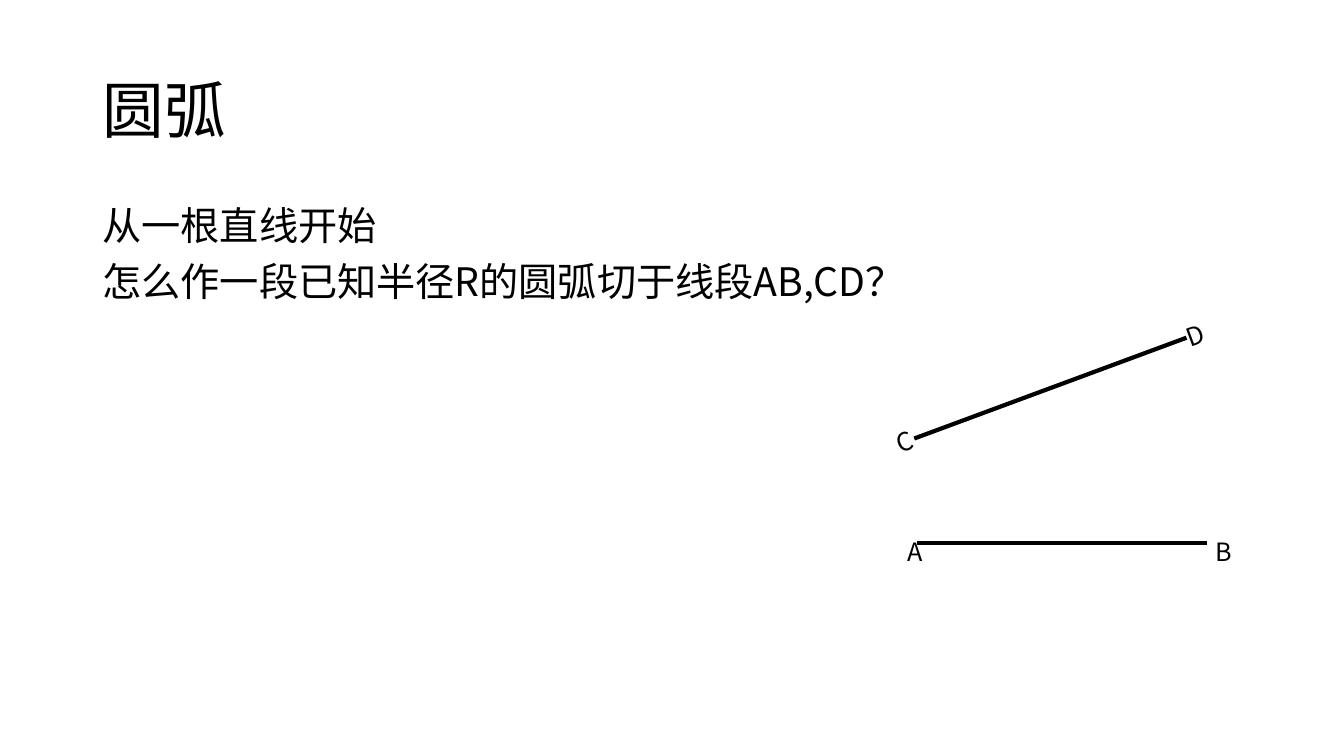
from dataclasses import dataclass

from lxml import etree
from pptx import Presentation
from pptx import util as u
from pptx.dml.color import RGBColor
from pptx.enum import shapes, text
from pptx.oxml import ns

# Content; lengths in cm
TITLE = "圆弧"
BODY = ["从一根直线开始", "怎么作一段已知半径R的圆弧切于线段AB,CD？"]
TITLE_BOX = (2.33, 1.02, 29.21, 3.68)
BODY_BOX = (2.33, 5.08, 29.21, 12.09)
SEGMENTS = [
    {"ends": (23.11, 13.69, 30.43, 13.69), "angle": 0,
     "labels": {"A": (22.63, 13.39, 0.48, 0.58), "B": (30.43, 13.39, 0.46, 0.58)}},
    {"ends": (23.04, 11.05, 29.9, 8.51), "angle": 339.8,
     "labels": {"C": (22.35, 10.62, 0.91, 1.02), "D": (29.64, 7.92, 0.97, 1.02)}},
]


@dataclass(frozen=True)
class Theme:
    font: str = "Noto Sans CJK SC"
    ink: RGBColor = RGBColor(0, 0, 0)
    title: int = 44
    body: int = 28
    label: int = 18
    line: int = 3


THEME = Theme()


def cm(values):
    return [u.Cm(value) for value in values]


def add_span(para, words, size):
    span = para.add_run()
    span.text = words
    span.font.size = u.Pt(size)
    span.font.name = THEME.font
    span.font.color.rgb = THEME.ink
    east_asian = etree.SubElement(span.font._element, ns.qn("a:ea"))
    east_asian.set("typeface", THEME.font)


def fill_placeholder(box, place, lines, size, space_before):
    box.left, box.top, box.width, box.height = cm(place)
    frame = box.text_frame
    for index, words in enumerate(lines):
        para = frame.add_paragraph() if index else frame.paragraphs[0]
        para.alignment = text.PP_ALIGN.LEFT
        para.line_spacing = 0.9
        para.space_before = u.Pt(space_before)
        properties = para._p.get_or_add_pPr()
        properties.set("marL", "0")
        properties.set("indent", "0")
        etree.SubElement(properties, ns.qn("a:buNone"))
        add_span(para, words, size)


def add_segment(page, segment):
    group = page.shapes.add_group_shape()
    line = group.shapes.add_connector(shapes.MSO_CONNECTOR.STRAIGHT, *cm(segment["ends"]))
    line.line.color.rgb = THEME.ink
    line.line.width = u.Pt(THEME.line)
    etree.SubElement(line._element.spPr, ns.qn("a:effectLst"))
    for letter, place in segment["labels"].items():
        box = group.shapes.add_textbox(*cm(place))
        box.rotation = segment["angle"]
        box.text_frame.word_wrap = False
        box.text_frame.auto_size = text.MSO_AUTO_SIZE.SHAPE_TO_FIT_TEXT
        add_span(box.text_frame.paragraphs[0], letter, THEME.label)


def main():
    deck = Presentation()
    deck.slide_width, deck.slide_height = cm((33.87, 19.05))
    page = deck.slides.add_slide(deck.slide_layouts[1])

    # Title and text
    fill_placeholder(page.shapes.title, TITLE_BOX, [TITLE], THEME.title, 0)
    fill_placeholder(page.placeholders[1], BODY_BOX, BODY, THEME.body, 10)

    # Labelled line segments
    for segment in SEGMENTS:
        add_segment(page, segment)

    deck.save("out.pptx")


if __name__ == "__main__":
    main()
